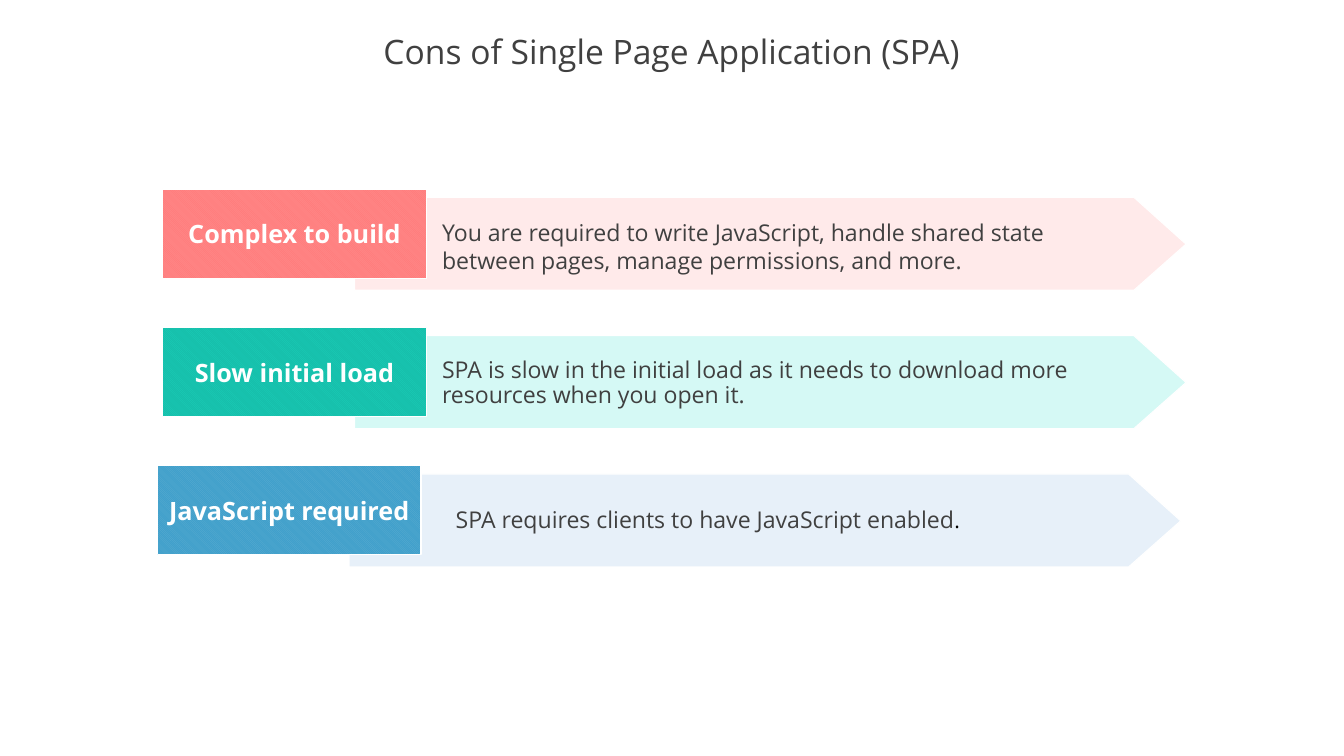
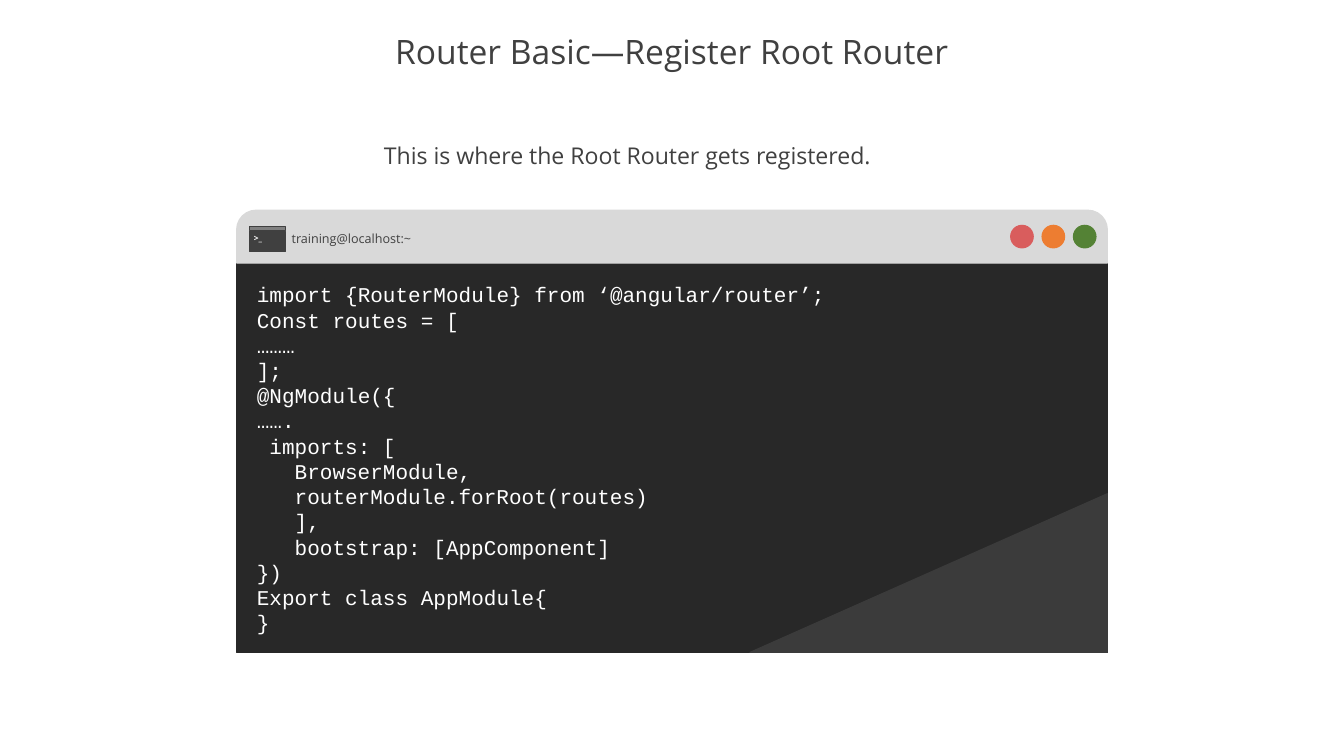
import pptx
import pptx.util
import pptx.dml.color
import pptx.enum.dml
import pptx.enum.shapes
import pptx.enum.text
import pptx.oxml
import pptx.oxml.ns

Inches = pptx.util.Inches
SHAPE = pptx.enum.shapes.MSO_SHAPE
ALIGN = pptx.enum.text.PP_ALIGN
ANCHOR = pptx.enum.text.MSO_ANCHOR

COLORS = {
    "text": "404040", "white": "FFFFFF", "black": "000000",
    "red": "FF8585", "red line": "FF7575", "red arrow": "FFAFAF",
    "green": "17BFAB", "green line": "1AD0BA", "green arrow": "ADF5EC",
    "blue": "41A0CB", "blue line": "5CADD2", "blue arrow": "DEEBF7",
    "screen": "282828", "shine": "3B3B3B", "bar": "D9D9D9", "strip": "808080",
    "close": "D95D5D", "shrink": "ED7D31", "grow": "548235",
}
SANS = "Open Sans"
STYLES = {
    "title": {"name": SANS, "size": 32, "color": "text"},
    "label": {"name": SANS, "size": 24, "color": "white", "bold": True},
    "body": {"name": SANS, "size": 22, "color": "text"},
    "stop": {"name": SANS, "size": 20, "color": "black"},
    "host": {"name": SANS, "size": 12, "color": "text"},
    "prompt": {"name": SANS, "size": 8, "color": "white", "bold": True},
    "code": {"name": "Courier New", "size": 20, "color": "white"},
}

# Label, hue, arrow opacity, left edge, text spot within the row, text width, line spacing, runs
CONS = [
    ("Complex to build", "red", 25, 2.15, (3.6, 0.34), 8.89, 1.0,
     [("You are required to write JavaScript, handle shared state "
       "between pages, manage permissions, and more.", "body")]),
    ("Slow initial load", "green", 50, 2.15, (3.6, 0.37), 9.26, 0.9,
     [("SPA is slow in the initial load as it needs to download more "
       "resources when you open it.", "body")]),
    ("JavaScript required", "blue", 70, 2.08, (3.85, 0.52), 8.3, 0.9,
     [("SPA requires clients to have JavaScript enabled", "body"), (".", "stop")]),
]
ROW_TOP, ROW_STEP = 2.5, 1.83

CODE = """import {RouterModule} from ‘@angular/router’;
Const routes = [
………
];
@NgModule({
…….
 imports: [
 \tBrowserModule,
\trouterModule.forRoot(routes)
\t],
\tbootstrap: [AppComponent]
})
Export class AppModule{
}"""


def shade(name):
    return pptx.dml.color.RGBColor.from_string(COLORS[name])


def write(frame, lines, align=ALIGN.LEFT, anchor=ANCHOR.TOP, space=1.0):
    """Fill a frame; each line is a list of (text, style) runs."""
    frame.word_wrap = True
    frame.vertical_anchor = anchor
    for i, runs in enumerate(lines):
        para = frame.paragraphs[0] if i == 0 else frame.add_paragraph()
        para.alignment = align
        para.line_spacing = space
        for text, style in runs:
            run = para.add_run()
            run.text = text
            for key, value in STYLES[style].items():
                if key == "color":
                    run.font.color.rgb = shade(value)
                else:
                    setattr(run.font, key, pptx.util.Pt(value) if key == "size" else value)


def add_text(slide, box, lines, **layout):
    area = slide.shapes.add_textbox(*map(Inches, box))
    write(area.text_frame, lines, **layout)


def add_title(slide, text):
    add_text(slide, (0, 0.35, 17.78, 0.73), [[(text, "title")]],
             align=ALIGN.CENTER, anchor=ANCHOR.MIDDLE, space=0.9)


def paint(shape, fill, line=None):
    shape.shadow.inherit = False
    shape.fill.solid()
    shape.fill.fore_color.rgb = shade(fill)
    shape.line.color.rgb = shade(line or fill)
    shape.line.width = pptx.util.Pt(1)
    return shape


def add_block(slide, kind, box, fill, line=None):
    return paint(slide.shapes.add_shape(kind, *map(Inches, box)), fill, line)


def add_outline(slide, points, fill, line=None):
    spots = [(Inches(x), Inches(y)) for x, y in points]
    pen = slide.shapes.build_freeform(*spots[0])
    pen.add_line_segments(spots[1:], close=True)
    return paint(pen.convert_to_shape(), fill, line)


def fade(shape, percent):
    """Set the opacity of a solid fill."""
    qn = pptx.oxml.ns.qn
    color = shape.element.spPr.find(qn("a:solidFill")).find(qn("a:srgbClr"))
    ns = pptx.oxml.ns.nsdecls("a")
    color.append(pptx.oxml.parse_xml(f'<a:alpha {ns} val="{percent * 1000}"/>'))


def add_arrow(slide, left, top, fill, percent):
    neck, tip = left + 10.31, left + 11
    middle, bottom = top + 0.62, top + 1.23
    points = [(left, top), (neck, top), (tip, middle), (neck, bottom), (left, bottom)]
    fade(add_outline(slide, points, fill, "white"), percent)


def add_label(slide, left, top, text, hue):
    label = add_block(slide, SHAPE.RECTANGLE, (left, top, 3.49, 1.18), hue, "white")
    label.fill.patterned()
    label.fill.pattern = pptx.enum.dml.MSO_PATTERN.LIGHT_DOWNWARD_DIAGONAL
    label.fill.fore_color.rgb = shade(hue + " line")
    label.fill.back_color.rgb = shade(hue)
    write(label.text_frame, [[(text, "label")]], align=ALIGN.CENTER, anchor=ANCHOR.MIDDLE)


def add_window(slide, left, top, width):
    """Draw a terminal window with its title bar, buttons and icon."""
    right, base = left + width, top + 5.85
    add_block(slide, SHAPE.RECTANGLE, (left, top + 0.71, width, 5.14), "screen")
    add_outline(slide, [(right, base - 2.1), (right, base), (right - 4.73, base)], "shine")
    bar = add_block(slide, SHAPE.ROUND_2_SAME_RECTANGLE, (left, top, width, 0.7), "bar")
    bar.adjustments[0] = 0.37
    for i, name in enumerate(["close", "shrink", "grow"]):
        add_block(slide, SHAPE.OVAL, (right - 1.28 + 0.415 * i, top + 0.2, 0.3, 0.3), name)
    add_text(slide, (left + 0.63, top + 0.22, 2, 0.3), [[("training@localhost:~", "host")]])
    add_block(slide, SHAPE.RECTANGLE, (left + 0.17, top + 0.28, 0.48, 0.27), "text")
    add_block(slide, SHAPE.RECTANGLE, (left + 0.17, top + 0.22, 0.48, 0.05), "strip", "text")
    add_text(slide, (left + 0.13, top + 0.25, 0.5, 0.24), [[(">_", "prompt")]])


def build_cons(slide):
    add_title(slide, "Cons of Single Page Application (SPA)")
    for i, (name, hue, percent, left, spot, width, space, runs) in enumerate(CONS):
        top = ROW_TOP + ROW_STEP * i
        add_arrow(slide, left + 2.54, top + 0.11, hue + " arrow", percent)
        add_label(slide, left, top, name, hue)
        add_text(slide, (left + spot[0], top + spot[1], width, 0.8), [runs], space=space)


def build_router(slide):
    add_title(slide, "Router Basic—Register Root Router")
    add_text(slide, (4.98, 1.82, 6.81, 0.47),
             [[("This is where the Root Router gets registered.", "body")]])
    add_window(slide, 3.13, 2.78, 11.52)
    add_text(slide, (3.3, 3.68, 10.89, 5.15),
             [[(line, "code")] for line in CODE.split("\n")])


def main():
    deck = pptx.Presentation()
    deck.slide_width, deck.slide_height = Inches(17.78), Inches(10)
    for build in (build_cons, build_router):
        build(deck.slides.add_slide(deck.slide_layouts[6]))
    deck.save("out.pptx")


if __name__ == "__main__":
    main()
